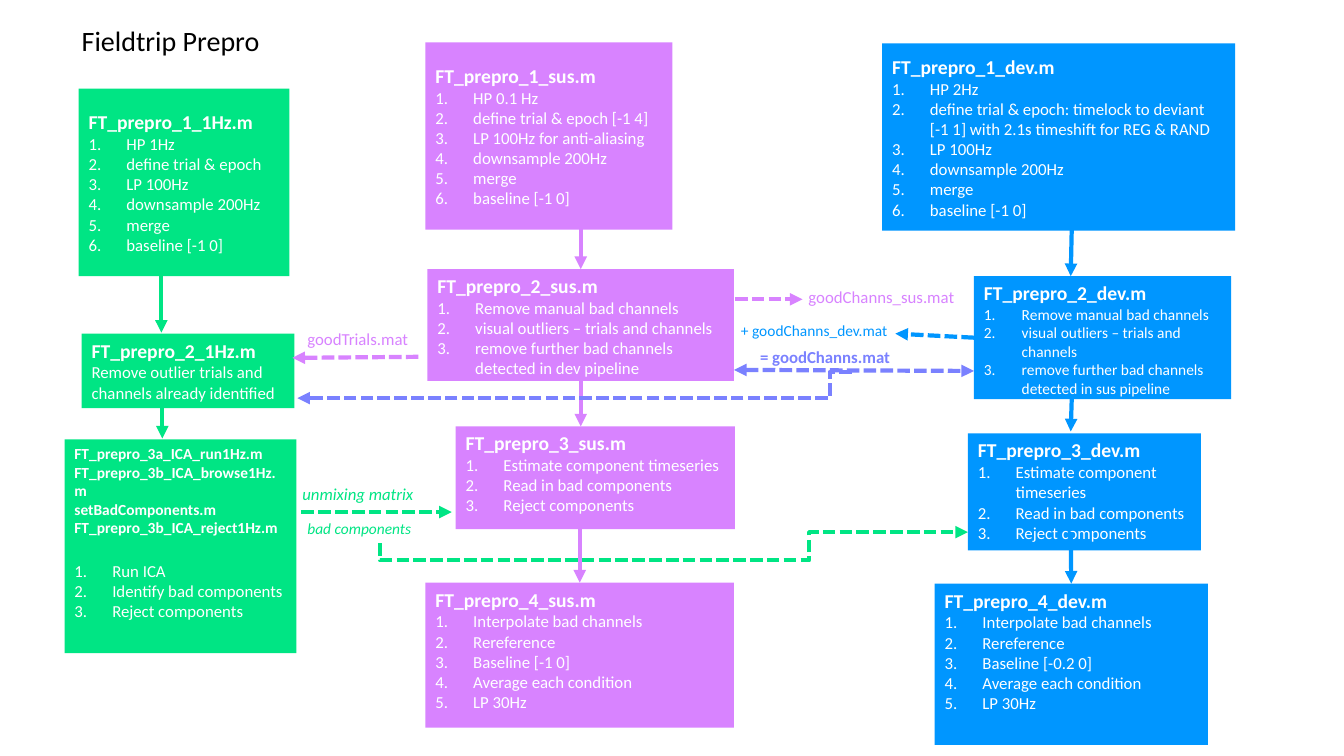
from dataclasses import dataclass

from lxml import etree
from pptx import Presentation
from pptx import util as u
from pptx.dml.color import RGBColor
from pptx.enum import dml, shapes, text
from pptx.oxml.ns import qn


@dataclass(frozen=True)
class Theme:
    font: str = "Calibri"
    sus: str = "D883FF"
    dev: str = "0096FF"
    ica: str = "00E584"
    shared: str = "7A81FF"
    white: str = "FFFFFF"
    black: str = "000000"
    title: int = 20
    heading: int = 14
    body: int = 12
    small: int = 11
    line: int = 3


THEME = Theme()
TOP, BOTTOM, LEFT = 0, 2, 1
MIDDLE = text.MSO_ANCHOR.MIDDLE


def inches(*values):
    return [u.Inches(value) for value in values]


def format_runs(paragraph, size, colour, bold=False, italic=False):
    for run in paragraph.runs:
        font = run.font
        font.name, font.size = THEME.font, u.Pt(size)
        font.bold, font.italic = bold, italic
        font.color.rgb = RGBColor.from_string(colour)


def number(paragraph):
    properties = paragraph._p.get_or_add_pPr()
    indent = u.Inches(0.375)
    properties.set("marL", str(indent))
    properties.set("indent", str(-indent))
    etree.SubElement(properties, qn("a:buFont"), typeface="+mj-lt")
    etree.SubElement(properties, qn("a:buAutoNum"), type="arabicPeriod")


def add_title(slide, wording):
    title = slide.shapes.title
    title.left, title.top, title.width, title.height = inches(0.71, 0.05, 8.62, 0.74)
    title.text_frame.text = wording
    title.text_frame.vertical_anchor = MIDDLE
    paragraph = title.text_frame.paragraphs[0]
    paragraph.alignment = text.PP_ALIGN.LEFT
    paragraph.line_spacing = 0.9
    format_runs(paragraph, THEME.title, THEME.black)


def add_step(slide, colour, area, headings, items, anchor=text.MSO_ANCHOR.TOP,
             heading_size=THEME.heading, size=THEME.body, numbered=True, gap=0):
    """Add a filled box with bold script names above its list of actions."""
    shape = slide.shapes.add_shape(shapes.MSO_SHAPE.RECTANGLE, *inches(*area))
    shape.shadow.inherit = False
    shape.fill.solid()
    shape.fill.fore_color.rgb = RGBColor.from_string(colour)
    shape.line.fill.background()
    frame = shape.text_frame
    frame.word_wrap = True
    frame.vertical_anchor = anchor
    frame.text = "\n".join(headings + items)
    for index, paragraph in enumerate(frame.paragraphs):
        paragraph.alignment = text.PP_ALIGN.LEFT
        is_heading = index < len(headings)
        if index == len(headings) and gap:
            paragraph.space_before = u.Pt(gap)
        if numbered and not is_heading:
            number(paragraph)
        format_runs(paragraph, heading_size if is_heading else size, THEME.white, bold=is_heading)
    return shape


def add_label(slide, wording, area, colour, size=THEME.body, wrap=True, bold=False, italic=False):
    frame = slide.shapes.add_textbox(*inches(*area)).text_frame
    frame.text = wording
    frame.word_wrap = wrap
    frame.auto_size = text.MSO_AUTO_SIZE.SHAPE_TO_FIT_TEXT
    format_runs(frame.paragraphs[0], size, colour, bold, italic)


def add_arrow(slide, colour, begin, end, dashed=False, both=False, source=None, target=None,
              preset=None, adjustments=(), rotation=0):
    """Add an arrow; source and target are (shape, side), preset names a bent form."""
    kind = shapes.MSO_CONNECTOR.ELBOW if preset else shapes.MSO_CONNECTOR.STRAIGHT
    arrow = slide.shapes.add_connector(kind, *inches(*begin, *end))
    if source:
        arrow.begin_connect(*source)
    if target:
        arrow.end_connect(*target)
    arrow.line.color.rgb = RGBColor.from_string(colour)
    arrow.line.width = u.Pt(THEME.line)
    if dashed:
        arrow.line.dash_style = dml.MSO_LINE.SQUARE_DOT
    properties = arrow.element.spPr
    line = properties.find(qn("a:ln"))
    if both:
        etree.SubElement(line, qn("a:headEnd"), type="triangle")
    etree.SubElement(line, qn("a:tailEnd"), type="triangle")
    etree.SubElement(properties, qn("a:effectLst"))
    if preset:
        geometry = properties.find(qn("a:prstGeom"))
        geometry.set("prst", preset)
        guides = geometry.find(qn("a:avLst"))
        for index, share in enumerate(adjustments, 1):
            etree.SubElement(guides, qn("a:gd"), name=f"adj{index}",
                             fmla=f"val {round(share * 100000)}")
        properties.find(qn("a:xfrm")).set("rot", str(rotation * 60000))


def add_ica_steps(slide):
    colour = THEME.ica
    add_step(slide, colour, (0.78, 0.88, 2.09, 1.86), ["FT_prepro_1_1Hz.m"],
             ["HP 1Hz", "define trial & epoch", "LP 100Hz", "downsample 200Hz", "merge",
              "baseline [-1 0]"], anchor=MIDDLE)
    add_step(slide, colour, (0.81, 3.31, 2.11, 0.74), ["FT_prepro_2_1Hz.m"],
             ["Remove outlier trials and channels already identified"], numbered=False)
    add_step(slide, colour, (0.64, 4.36, 2.3, 2.12),
             ["FT_prepro_3a_ICA_run1Hz.m", "FT_prepro_3b_ICA_browse1Hz.m",
              "setBadComponents.m", "FT_prepro_3b_ICA_reject1Hz.m"],
             ["Run ICA", "Identify bad components", "Reject components"],
             heading_size=THEME.small, gap=17)
    add_arrow(slide, colour, (1.6, 2.66), (1.6, 3.3))
    add_arrow(slide, colour, (1.61, 4.02), (1.61, 4.35))


def add_sus_steps(slide):
    colour = THEME.sus
    add_step(slide, colour, (4.22, 0.42, 2.45, 1.86), ["FT_prepro_1_sus.m"],
             ["HP 0.1 Hz", "define trial & epoch [-1 4]", "LP 100Hz for anti-aliasing",
              "downsample 200Hz", "merge", "baseline [-1 0]"], anchor=MIDDLE)
    clean = add_step(slide, colour, (4.24, 2.67, 3.04, 1.11), ["FT_prepro_2_sus.m"],
                     ["Remove manual bad channels", "visual outliers – trials and channels",
                      "remove further bad channels detected in dev pipeline"])
    add_step(slide, colour, (4.52, 4.23, 2.77, 1.02), ["FT_prepro_3_sus.m"],
             ["Estimate component timeseries", "Read in bad components", "Reject components"])
    final = add_step(slide, colour, (4.22, 5.78, 3.06, 1.44), ["FT_prepro_4_sus.m"],
                     ["Interpolate bad channels", "Rereference", "Baseline [-1 0]",
                      "Average each condition", "LP 30Hz"])
    add_arrow(slide, colour, (5.76, 2.21), (5.76, 2.67), target=(clean, TOP))
    add_arrow(slide, colour, (5.76, 3.78), (5.76, 4.23), source=(clean, BOTTOM))
    add_arrow(slide, colour, (5.75, 5.19), (5.75, 5.78), target=(final, TOP))


def add_dev_steps(slide):
    colour = THEME.dev
    add_step(slide, colour, (8.75, 0.43, 3.5, 1.86), ["FT_prepro_1_dev.m"],
             ["HP 2Hz", "define trial & epoch: timelock to deviant [-1 1] with 2.1s timeshift "
              "for REG & RAND", "LP 100Hz", "downsample 200Hz", "merge", "baseline [-1 0]"],
             anchor=MIDDLE)
    clean = add_step(slide, colour, (9.66, 2.74, 2.55, 1.22), ["FT_prepro_2_dev.m"],
                     ["Remove manual bad channels", "visual outliers – trials and channels",
                      "remove further bad channels detected in sus pipeline"], size=THEME.small)
    add_step(slide, colour, (9.6, 4.3, 2.31, 1.16), ["FT_prepro_3_dev.m"],
             ["Estimate component timeseries", "Read in bad components", "Reject components"])
    final = add_step(slide, colour, (9.27, 5.79, 2.71, 1.6), ["FT_prepro_4_dev.m"],
                     ["Interpolate bad channels", "Rereference", "Baseline [-0.2 0]",
                      "Average each condition", "LP 30Hz"])
    add_arrow(slide, colour, (10.63, 2.26), (10.62, 2.74))
    add_arrow(slide, colour, (10.63, 3.95), (10.62, 4.28))
    add_arrow(slide, colour, (10.62, 5.28), (10.62, 5.79), target=(final, TOP))
    add_arrow(slide, colour, (9.66, 3.35), (8.88, 3.31), dashed=True, source=(clean, LEFT))


def add_exchanged_files(slide):
    """Add the labels and dashed arrows for data passed between pipelines."""
    add_label(slide, "goodTrials.mat", (2.95, 3.21, 1.27, 0.3), THEME.sus)
    add_label(slide, "unmixing matrix", (2.9, 4.75, 1.45, 0.3), THEME.ica, italic=True)
    add_label(slide, "bad components", (2.95, 5.1, 1.65, 0.29), THEME.ica, THEME.small, italic=True)
    add_label(slide, "+ goodChanns_dev.mat", (7.25, 3.14, 1.89, 0.29), THEME.dev, THEME.small)
    add_label(slide, "goodChanns_sus.mat", (7.92, 2.8, 1.66, 0.3), THEME.sus, wrap=False)
    add_label(slide, "= goodChanns.mat", (7.44, 3.39, 1.51, 0.3), THEME.shared, wrap=False,
              bold=True)
    add_arrow(slide, THEME.sus, (4.15, 3.54), (2.9, 3.55), dashed=True)
    add_arrow(slide, THEME.sus, (7.29, 2.97), (7.96, 2.97), dashed=True)
    add_arrow(slide, THEME.ica, (2.99, 5.08), (4.48, 5.08), dashed=True)
    add_arrow(slide, THEME.shared, (7.28, 3.67), (9.66, 3.68), dashed=True, both=True)
    add_arrow(slide, THEME.shared, (8.45, 3.69), (2.95, 3.95), dashed=True,
              preset="bentConnector3", adjustments=[0.04])
    add_arrow(slide, THEME.ica, (6.74, 8.25), (6.63, 2.42), dashed=True,
              preset="bentConnector4", adjustments=[-1.55, 0.73], rotation=90)


def main():
    presentation = Presentation()
    presentation.slide_width, presentation.slide_height = inches(13.33, 7.5)
    slide = presentation.slides.add_slide(presentation.slide_layouts[5])
    add_title(slide, "Fieldtrip Prepro")
    add_ica_steps(slide)
    add_sus_steps(slide)
    add_dev_steps(slide)
    add_exchanged_files(slide)
    presentation.save("out.pptx")


if __name__ == "__main__":
    main()
